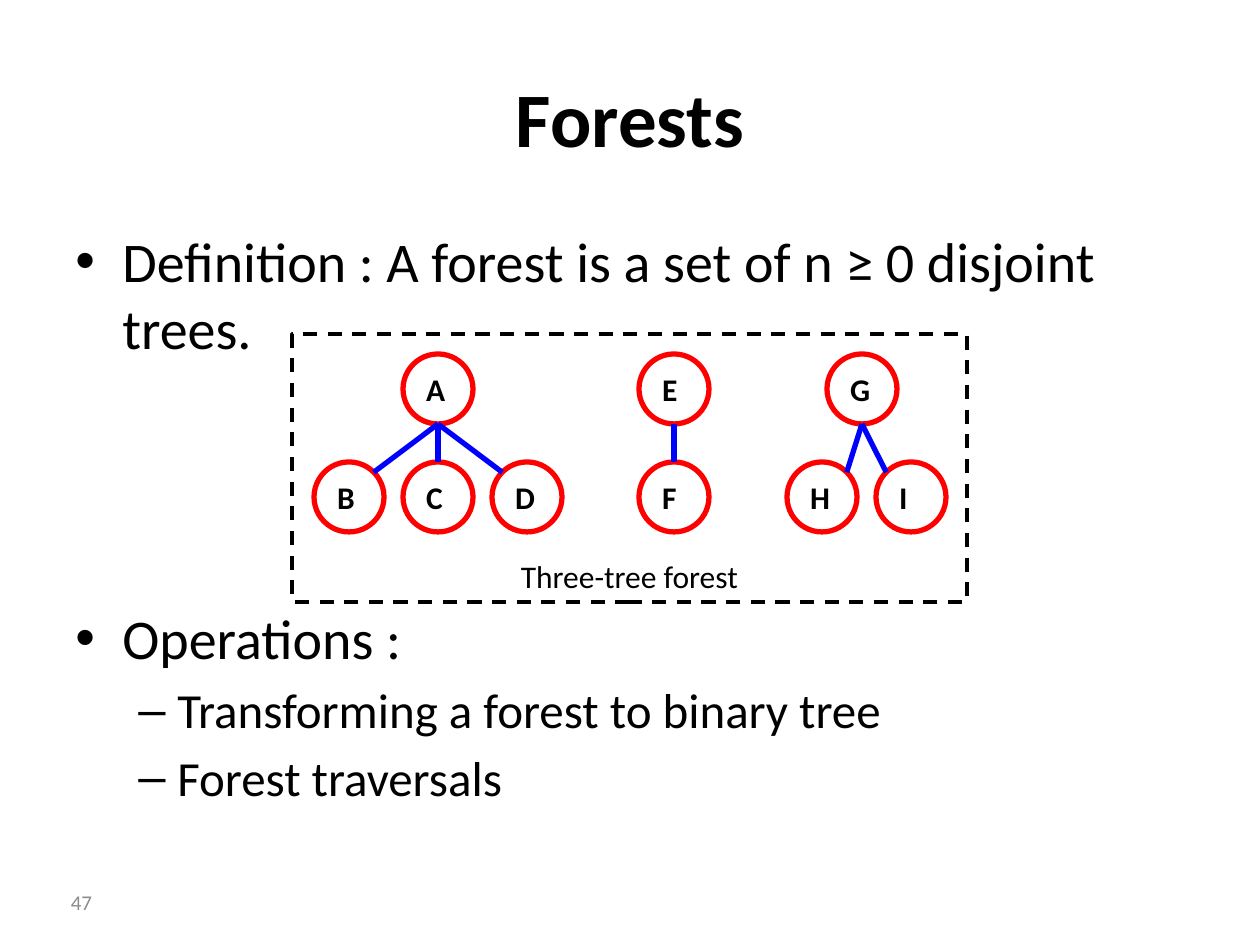
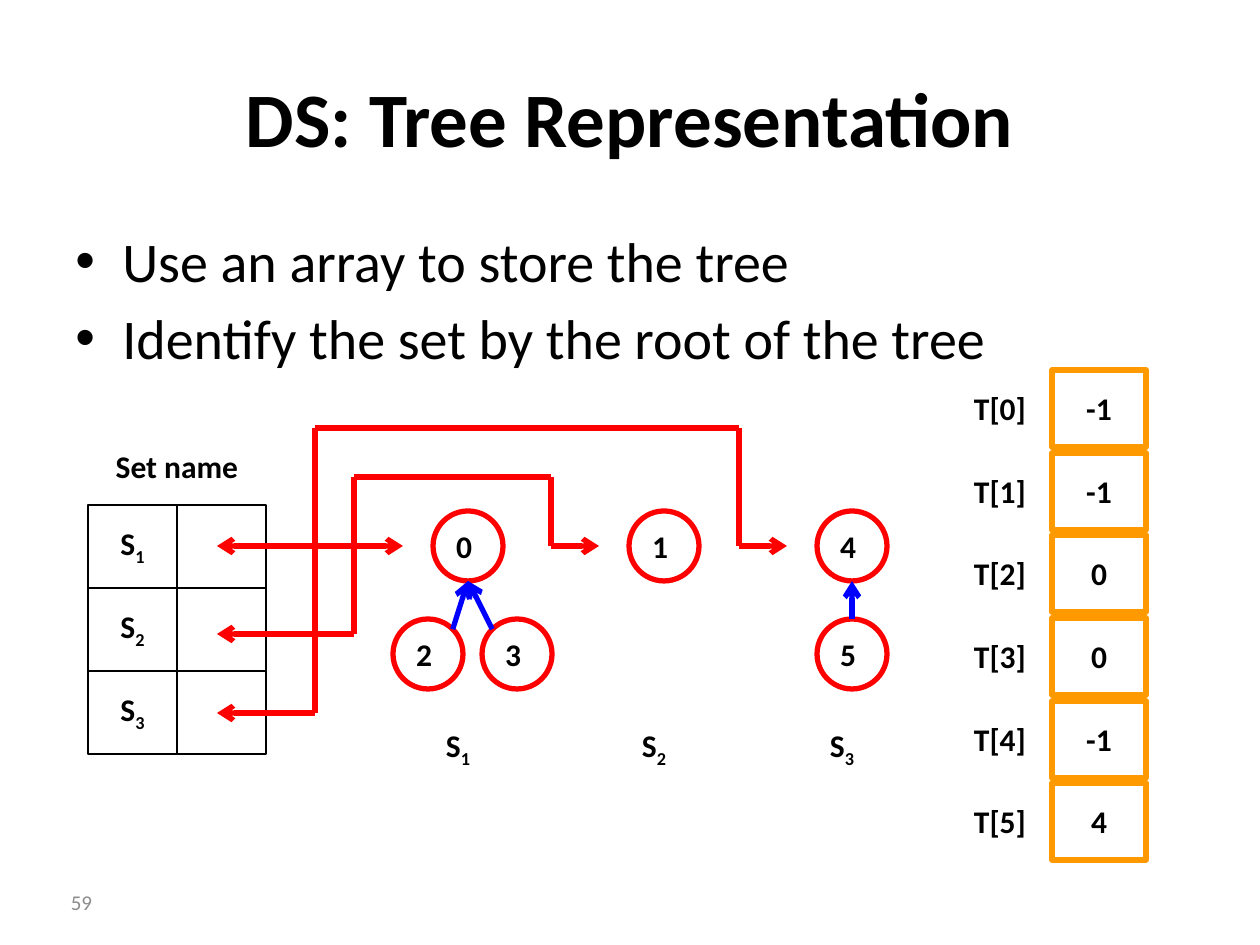
from itertools import pairwise
from math import copysign, sqrt

from lxml.etree import SubElement
from pptx import Presentation
from pptx.dml.color import RGBColor
from pptx.enum.dml import MSO_LINE
from pptx.enum.shapes import MSO_CONNECTOR, MSO_SHAPE
from pptx.enum.text import MSO_ANCHOR as ANCHOR, PP_ALIGN as ALIGN
from pptx.oxml.ns import qn
from pptx.util import Pt

FONT = "Calibri"
BLACK = RGBColor(0x00, 0x00, 0x00)
GRAY = RGBColor(0x8C, 0x8C, 0x8C)
RED = RGBColor(0xFF, 0x00, 0x00)
BLUE = RGBColor(0x00, 0x00, 0xFF)
ORANGE = RGBColor(0xFF, 0x99, 0x00)

RADIUS = 35
SIBLING_PITCH = 89
LEVEL_DROP = 108
LABEL_INSETS = (13, 19)

# bullet mark, text size, left margin, hanging indent, space before
BULLET_LEVELS = [("•", 32, 47, 47, 5.5), ("–", 28, 102, 39, 5)]


def px(length):
    return round(length * 914400 / 126)


def write(box, text, size=18, bold=True, color=BLACK, align=ALIGN.LEFT,
          anchor=ANCHOR.TOP, insets=LABEL_INSETS):
    """Fill a box with one line; what follows an underscore is a subscript."""
    frame = box.text_frame
    frame.word_wrap = True
    frame.vertical_anchor = anchor
    frame.margin_left = frame.margin_right = px(insets[0])
    frame.margin_top = frame.margin_bottom = px(insets[1])
    para = frame.paragraphs[0]
    para.alignment = align
    main, _, subscript = text.partition("_")
    para.text = main
    if subscript:
        para.add_run().text = subscript
        para.runs[1]._r.get_or_add_rPr().set("baseline", "-25000")
    for span in para.runs:
        style_span(span, size, bold, color)


def style_span(span, size, bold=False, color=BLACK):
    span.font.name = FONT
    span.font.size = Pt(size)
    span.font.bold = bold
    span.font.color.rgb = color


def add_label(page, left, top, width, height, text, **style):
    box = page.shapes.add_textbox(px(left), px(top), px(width), px(height))
    write(box, text, **style)


def add_outline(page, kind, left, top, width, height, color, weight):
    shape = page.shapes.add_shape(kind, px(left), px(top), px(width), px(height))
    shape.shadow.inherit = False
    shape.fill.background()
    shape.line.color.rgb = color
    shape.line.width = Pt(weight)
    return shape


def add_line(page, start, end, color, head=False, tail=False):
    line = page.shapes.add_connector(
        MSO_CONNECTOR.STRAIGHT, *map(px, start), *map(px, end))
    line.line.color.rgb = color
    line.line.width = Pt(3)
    for tag, wanted in (("a:headEnd", head), ("a:tailEnd", tail)):
        if wanted:
            SubElement(line.get_or_add_ln(), qn(tag)).set("type", "arrow")
    SubElement(line._element.spPr, qn("a:effectLst"))


def add_route(page, points):
    """Draw a red path of straight legs with an arrowhead at both ends."""
    legs = list(pairwise(points))
    for index, (start, end) in enumerate(legs):
        add_line(page, start, end, RED,
                 head=index == 0, tail=index == len(legs) - 1)


def add_node(page, x, y, name):
    circle = add_outline(page, MSO_SHAPE.OVAL, x - RADIUS, y - RADIUS,
                         2 * RADIUS, 2 * RADIUS, RED, 3)
    write(circle, name, anchor=ANCHOR.MIDDLE, insets=(13, 0))


def add_tree(page, x, y, root, children, first_offset, arrows=False):
    """Draw a root centred on x, y and one row of children below it."""
    add_node(page, x, y, root)
    for index, child in enumerate(children):
        offset = first_offset + index * SIBLING_PITCH
        add_node(page, x + offset, y + LEVEL_DROP, child)
        reach = RADIUS / sqrt(2)
        dx, dy = (copysign(reach, -offset), reach) if offset else (0, RADIUS)
        start = (x + offset + dx, y + LEVEL_DROP - dy)
        add_line(page, start, (x, y + RADIUS), BLUE, tail=arrows)


def add_bullets(page, left, top, width, height, items):
    """Each item is (level, text) or (level, text, space before)."""
    box = page.shapes.add_textbox(px(left), px(top), px(width), px(height))
    frame = box.text_frame
    frame.word_wrap = True
    for index, (level, text, *gap) in enumerate(items):
        mark, size, margin, hanging, space = BULLET_LEVELS[level]
        para = frame.add_paragraph() if index else frame.paragraphs[0]
        para.text = text
        properties = para._p.get_or_add_pPr()
        properties.set("marL", str(px(margin)))
        properties.set("indent", str(-px(hanging)))
        SubElement(properties, qn("a:buFont")).set("typeface", "Arial")
        SubElement(properties, qn("a:buChar")).set("char", mark)
        para.space_before = Pt(gap[0] if gap else space) if index else Pt(0)
        style_span(para.runs[0], size)


def add_page(deck, title, items, number):
    page = deck.slides.add_slide(deck.slide_layouts[6])
    add_label(page, 63, 38, 1134, 158, title, size=44, align=ALIGN.CENTER,
              anchor=ANCHOR.MIDDLE, insets=(13, 6))
    add_bullets(page, 63, 220, 1134, 624, items)
    add_label(page, 0, 877, 105, 50, number, size=12, bold=False, color=GRAY,
              align=ALIGN.RIGHT, anchor=ANCHOR.MIDDLE, insets=(13, 6))
    return page


def add_forest(page, left, top, width, height):
    root_y = top + 55
    add_tree(page, left + 146, root_y, "A", "BCD", -SIBLING_PITCH)
    add_tree(page, left + 382, root_y, "E", "F", 0)
    add_tree(page, left + 570, root_y, "G", "HI", -40)
    frame = add_outline(page, MSO_SHAPE.RECTANGLE, left, top, width, height,
                        BLACK, 2)
    frame.line.dash_style = MSO_LINE.DASH
    add_label(page, left, top + 217, width, 50, "Three-tree forest",
              bold=False, align=ALIGN.CENTER, insets=(13, 6))


def add_parent_array(page, left, top, label_width, cell_width, parents):
    for index, parent in enumerate(parents):
        y = top + round(index * 82.66)
        add_label(page, left, y, label_width, 77, f"T[{index}]",
                  align=ALIGN.CENTER)
        cell = add_outline(page, MSO_SHAPE.RECTANGLE, left + label_width, y,
                           cell_width, 77, ORANGE, 3)
        write(cell, parent, align=ALIGN.CENTER)


def add_set_table(page, left, top, cell_width, cell_height, names):
    add_label(page, left, top - 77, 2 * cell_width, 77, "Set name",
              align=ALIGN.CENTER)
    for row, name in enumerate(names):
        for column, text in enumerate((name, "")):
            cell = add_outline(
                page, MSO_SHAPE.RECTANGLE, left + column * cell_width,
                top + row * cell_height, cell_width, cell_height, BLACK, 0.75)
            if text:
                write(cell, text, align=ALIGN.CENTER)


def add_set_trees(page, left, top):
    """Draw the set table, its trees and the routes that join them."""
    # set name, root, children, root x, pointer y, lane x and y of the route
    sets = [("S_1", "0", "23", 380, 41, None),
            ("S_2", "1", "", 576, 129, (266, -28)),
            ("S_3", "4", "5", 764, 208, (227, -77))]
    add_set_table(page, left, top, 89, 83, [entry[0] for entry in sets])
    root_y = 41
    for name, root, children, root_x, pointer_y, lane in sets:
        first_offset = -40 if len(children) > 1 else 0
        add_tree(page, left + root_x, top + root_y, root, children,
                 first_offset, arrows=True)
        add_label(page, left + root_x - RADIUS, top + 202, 78, 83, name)
        end_x = root_x - 65
        route = [(129, pointer_y), (end_x, root_y)]
        if lane:
            lane_x, lane_y = lane
            route[1:1] = [(lane_x, pointer_y), (lane_x, lane_y),
                          (end_x - 48, lane_y), (end_x - 48, root_y)]
        add_route(page, [(left + x, top + y) for x, y in route])


def main():
    deck = Presentation()
    deck.slide_width, deck.slide_height = px(1260), px(945)

    forests = add_page(deck, "Forests", [
        (0, "Definition : A forest is a set of n ≥ 0 disjoint trees."),
        (0, "Operations :", 139),
        (1, "Transforming a forest to binary tree"),
        (1, "Forest traversals"),
    ], "47")
    add_forest(forests, 292, 334, 675, 268)

    representation = add_page(deck, "DS: Tree Representation", [
        (0, "Use an array to store the tree"),
        (0, "Identify the set by the root of the tree"),
    ], "59")
    add_parent_array(representation, 948, 370, 104, 94,
                     ["-1", "-1", "0", "0", "-1", "4"])
    add_set_trees(representation, 88, 505)

    deck.save("out.pptx")


if __name__ == "__main__":
    main()
